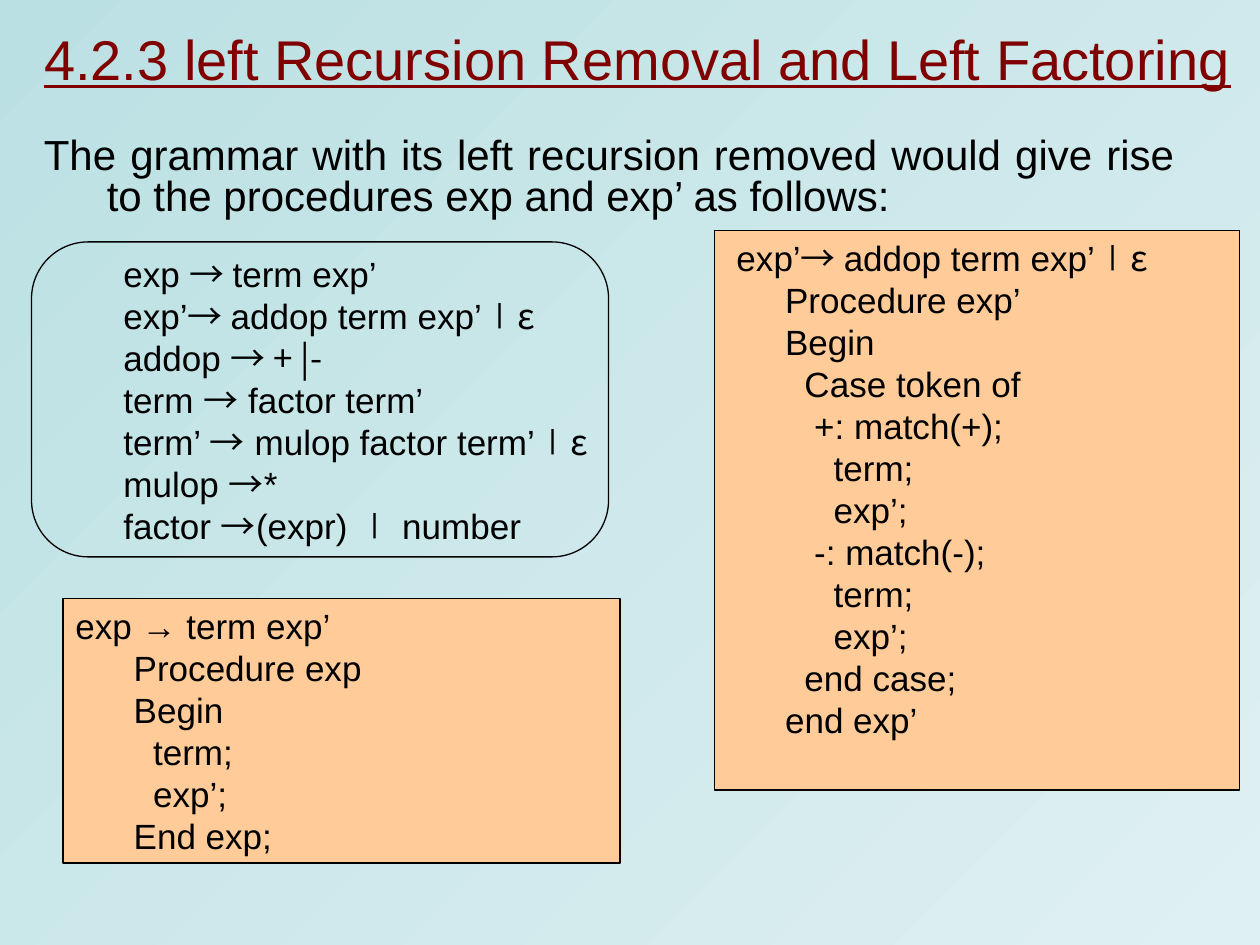
from pptx import Presentation
from pptx import util as u
from pptx.dml.color import RGBColor
from pptx.enum import shapes, text
from pptx.oxml.ns import qn
from lxml import etree

SANS, CJK = "Arial", "Noto Sans CJK SC"
KIND, ALIGN = shapes.MSO_SHAPE, text.PP_ALIGN


def color(code):
    return RGBColor.from_string(code)


def write(para, line, size, ink="000000"):
    """Add the line to para; parts between backticks take the CJK font."""
    for i, part in enumerate(line.split("`")):
        if not part:
            continue
        run = para.add_run()
        run.text = part
        name = CJK if i % 2 else SANS
        look = {"name": name, "size": u.Pt(size)}
        for key, value in look.items():
            setattr(run.font, key, value)
        run.font.color.rgb = color(ink)
        east = etree.SubElement(run.font._element, qn("a:ea"))
        east.set("typeface", name)


prs = Presentation()
prs.slide_width, prs.slide_height = u.Inches(10), u.Inches(7.5)
slide = prs.slides.add_slide(prs.slide_layouts[5])

back = slide.background.fill
back.gradient()
back.gradient_angle = 315
for stop, code in zip(back.gradient_stops, ["BBE0E3", "DFF0F2"]):
    stop.color.rgb = color(code)

# Title
title = slide.shapes.title
place = {"left": 0.25, "top": 0.25, "width": 9.75, "height": 0.42}
for key, value in place.items():
    setattr(title, key, u.Inches(value))
frame = title.text_frame
frame.auto_size = text.MSO_AUTO_SIZE.NONE
frame.vertical_anchor = text.MSO_ANCHOR.MIDDLE
para = frame.paragraphs[0]
para.alignment = ALIGN.LEFT
write(para, "4.2.3 left Recursion Removal and Left Factoring", 32, "800000")
para.runs[0].font.underline = True

# Introduction
intro = slide.shapes.add_textbox(*map(u.Inches, (0.25, 1, 9.17, 0.75)))
frame = intro.text_frame
frame.word_wrap = True
frame.margin_top = u.Inches(0.1)
para = frame.paragraphs[0]
para.alignment = ALIGN.JUSTIFY
para.line_spacing = 0.8
props = para._p.get_or_add_pPr()
props.set("marL", str(u.Inches(0.5)))
props.set("indent", str(u.Inches(-0.5)))
write(para, "The grammar with its left recursion removed would give rise "
      "to the procedures exp and exp’ as follows:", 24)

# Grammar and the two procedures
prime = """ exp’`→ `addop term exp’`∣ε`
      Procedure exp’
      Begin
        Case token of
         +: match(+);
           term;
           exp’;
         -: match(-);
           term;
           exp’;
        end case;
      end exp’"""
rules = """exp `→ `term exp’
exp’`→ `addop term exp’`∣ε`
addop `→ + |-`
term `→` factor term’
term’ `→` mulop factor term’`∣ε`
mulop `→`*
factor `→`(expr) `∣` number"""
plain = """exp → term exp’
      Procedure exp
      Begin
        term;
        exp’;
      End exp;"""

boxes = [
    (KIND.RECTANGLE, (5.67, 1.83, 4.17, 4.44), prime, ALIGN.JUSTIFY),
    (KIND.ROUNDED_RECTANGLE, (0.25, 1.92, 4.58, 2.5), rules, ALIGN.LEFT),
    (KIND.RECTANGLE, (0.5, 4.75, 4.42, 2.1), plain, ALIGN.LEFT),
]
for kind, spot, code, align in boxes:
    box = slide.shapes.add_shape(kind, *map(u.Inches, spot))
    box.shadow.inherit = False
    box.line.color.rgb = color("000000")
    box.line.width = u.Pt(0.75)
    frame = box.text_frame
    is_round = kind == KIND.ROUNDED_RECTANGLE
    frame.word_wrap = not is_round
    if is_round:
        box.adjustments[0] = 0.18
        box.fill.background()
        frame.vertical_anchor = text.MSO_ANCHOR.MIDDLE
    else:
        box.fill.solid()
        box.fill.fore_color.rgb = color("FFCC99")
        frame.vertical_anchor = text.MSO_ANCHOR.TOP
    for i, line in enumerate(code.split("\n")):
        para = frame.add_paragraph() if i else frame.paragraphs[0]
        para.alignment = align
        if is_round:
            para._p.get_or_add_pPr().set("marL", str(u.Inches(0.5)))
        write(para, line, 20)

prs.save("out.pptx")
